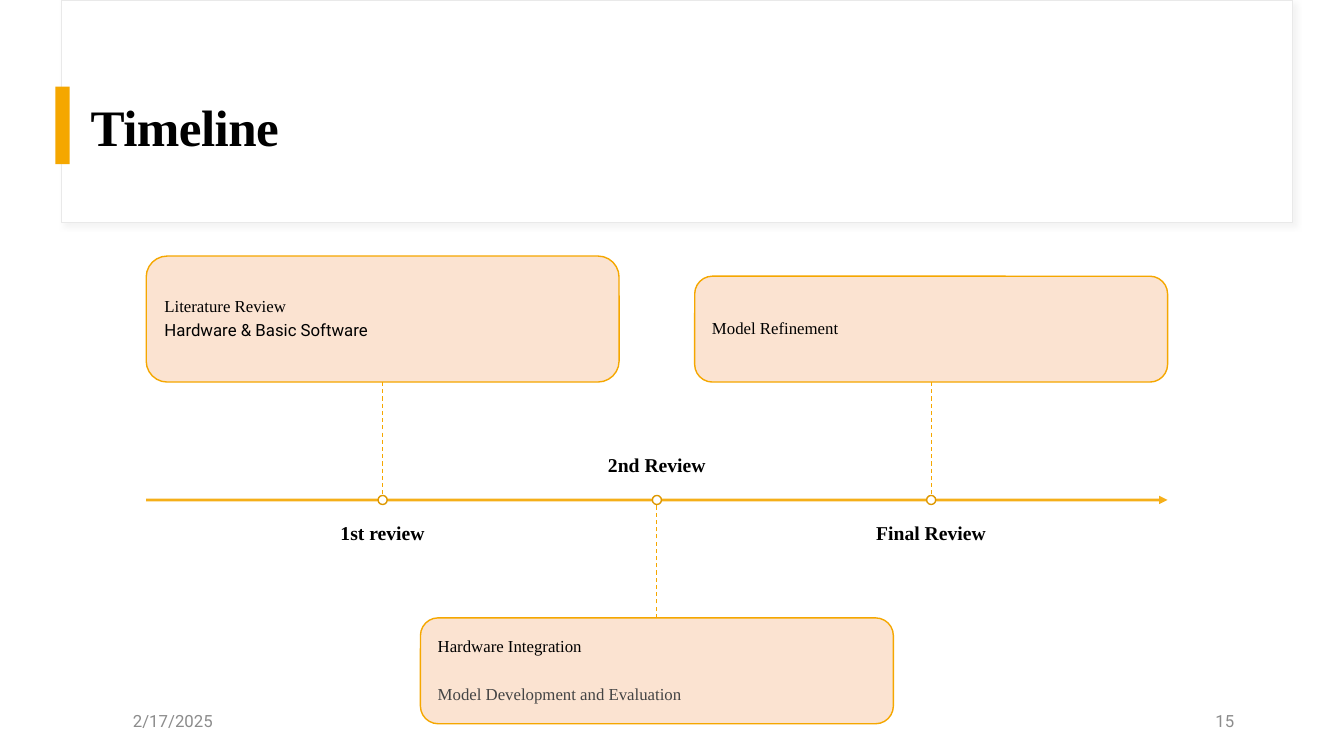
from dataclasses import dataclass

from lxml import etree
from pptx import Presentation
from pptx.dml.color import RGBColor
from pptx.enum.dml import MSO_LINE
from pptx.enum.shapes import MSO_CONNECTOR, MSO_SHAPE
from pptx.enum.text import MSO_ANCHOR, PP_ALIGN
from pptx.oxml.ns import qn
from pptx.util import Inches, Pt

RECT, ROUNDED, OVAL = MSO_SHAPE.RECTANGLE, MSO_SHAPE.ROUNDED_RECTANGLE, MSO_SHAPE.OVAL
STRAIGHT, DASH = MSO_CONNECTOR.STRAIGHT, MSO_LINE.DASH
TOP, MIDDLE, BOTTOM = MSO_ANCHOR.TOP, MSO_ANCHOR.MIDDLE, MSO_ANCHOR.BOTTOM
LEFT, CENTER, RIGHT = PP_ALIGN.LEFT, PP_ALIGN.CENTER, PP_ALIGN.RIGHT


@dataclass(frozen=True)
class Theme:
    """Colours, fonts and type sizes of the slide."""
    white: str = "FFFFFF"
    ink: str = "000000"
    soft_ink: str = "444444"
    footer: str = "8C8C8C"
    accent: str = "F5A700"
    marker: str = "DE9800"
    card: str = "FBE1CC"
    frame: str = "E9E9E9"
    shadow: str = "D9D9D9"
    serif: str = "Times New Roman"
    sans: str = "Roboto"
    title_size: float = 36.5
    label_size: float = 14
    body_size: float = 12


T = Theme()
MILESTONES = [
    ("1st review", True, 1.25, [("Literature Review", T.serif, T.ink, 0),
                                ("Hardware & Basic Software", T.sans, T.ink, 0)]),
    ("2nd Review", False, 1.05, [("Hardware Integration", T.serif, T.ink, 0),
                                 ("Model Development and Evaluation", T.serif, T.soft_ink, 17)]),
    ("Final Review", True, 1.05, [("Model Refinement", T.serif, T.ink, 0)]),
]


def set_alpha(fill_parent, percent):
    """Set the opacity of a solid fill found under an XML element."""
    color = fill_parent.find(".//" + qn("a:srgbClr"))
    etree.SubElement(color, qn("a:alpha"), val=str(percent * 1000))


def add_shadow(sp, color, percent):
    """Give a shape a soft shadow to the lower right."""
    effects = sp._element.spPr.find(qn("a:effectLst"))
    shadow = etree.SubElement(effects, qn("a:outerShdw"), blurRad=str(Pt(4)),
                              dist=str(Pt(3)), dir="2700000", algn="tl", rotWithShape="0")
    etree.SubElement(shadow, qn("a:srgbClr"), val=color)
    set_alpha(shadow, percent)


def add_box(slide, kind, box, fill, line=None, width=1):
    """Add a preset shape with a flat fill and an optional outline."""
    sp = slide.shapes.add_shape(kind, *map(Inches, box))
    sp.shadow.inherit = False
    sp.fill.solid()
    sp.fill.fore_color.rgb = RGBColor.from_string(fill)
    if line:
        sp.line.color.rgb = RGBColor.from_string(line)
        sp.line.width = Pt(width)
    else:
        sp.line.fill.background()
    return sp


def add_line(slide, start, end, width):
    """Add a straight accent line without a shadow."""
    line = slide.shapes.add_connector(STRAIGHT, *map(Inches, (*start, *end)))
    line.line.color.rgb = RGBColor.from_string(T.accent)
    line.line.width = Pt(width)
    etree.SubElement(line._element.spPr, qn("a:effectLst"))
    return line


def set_frame(tf, anchor, inset):
    """Set wrapping, anchor and equal margins of a text frame."""
    tf.word_wrap = True
    tf.vertical_anchor = anchor
    tf.margin_left = tf.margin_right = tf.margin_top = tf.margin_bottom = Inches(inset)


def add_run(p, text, font, size, color, bold=False):
    """Append a formatted run to a paragraph."""
    r = p.add_run()
    r.text = text
    r.font.name = font
    r.font.size = Pt(size)
    r.font.bold = bold
    r.font.color.rgb = RGBColor.from_string(color)
    return r


def add_text(slide, box, text, font, size, color, anchor=TOP, align=LEFT, inset=0, bold=False):
    """Add a text box of one paragraph and return the paragraph and its run."""
    tf = slide.shapes.add_textbox(*map(Inches, box)).text_frame
    set_frame(tf, anchor, inset)
    p = tf.paragraphs[0]
    p.alignment = align
    return p, add_run(p, text, font, size, color, bold)


def add_header(slide, box, title):
    """Draw the framed header with its accent bar and title."""
    x, y, w, h = box
    frame = add_box(slide, RECT, box, T.white, T.frame, 0.75)
    add_shadow(frame, T.shadow, 30)
    add_box(slide, RECT, (x - 0.06, y + 0.86, 0.14, 0.77), T.accent)
    p, r = add_text(slide, (x + 0.29, y + 0.92, w - 0.45, 1.28), title,
                    T.serif, T.title_size, T.ink, bold=True)
    p.line_spacing = Pt(45.8)
    r._r.get_or_add_rPr().set("spc", "-40")


def add_footer(slide, box, date, number):
    """Write the date at the left and the slide number at the right."""
    x, y, w, h = box
    for left, text, align in ((x, date, LEFT), (x + w - 3, number, RIGHT)):
        add_text(slide, (left, y, 3, h), text, T.sans, T.body_size, T.footer, MIDDLE, align, 0.1)


def add_card(slide, box, lines):
    """Draw a rounded card holding one paragraph per line."""
    sp = add_box(slide, ROUNDED, box, T.card, T.accent)
    set_alpha(sp._element.spPr.find(qn("a:solidFill")), 90)
    tf = sp.text_frame
    set_frame(tf, MIDDLE, 0.12)
    for i, (text, font, color, before) in enumerate(lines):
        p = tf.add_paragraph() if i else tf.paragraphs[0]
        p.alignment = LEFT
        p.line_spacing = 0.9
        p.space_before, p.space_after = Pt(before), Pt(4.2)
        add_run(p, text, font, T.body_size, color)
    return sp


def add_milestone(slide, x, axis, card_w, milestone):
    """Draw the card, stem, marker and label of one point on the axis."""
    name, above, card_h, lines = milestone
    stem, gap, label_w, label_h, dot = 1.17, 0.23, 4.13, 0.7, 0.09
    card_y = axis - stem - card_h if above else axis + stem
    label_y = axis + gap if above else axis - gap - label_h
    card = add_card(slide, (x - card_w / 2, card_y, card_w, card_h), lines)
    line = add_line(slide, (x, axis - stem if above else axis + stem), (x, axis), 0.75)
    line.line.dash_style = DASH
    line.begin_connect(card, 2 if above else 0)
    add_box(slide, OVAL, (x - dot / 2, axis - dot / 2, dot, dot), T.white, T.marker)
    p, _ = add_text(slide, (x - label_w / 2, label_y, label_w, label_h), name, T.serif,
                    T.label_size, T.ink, TOP if above else BOTTOM, CENTER, bold=True)
    p.line_spacing = 0.9
    p.space_after = Pt(4.9)


def add_timeline(slide, box, milestones):
    """Draw the arrow axis and its evenly spaced milestones."""
    x, y, w, h = box
    card_w = 4.69
    axis = y + 2.42
    arrow = add_line(slide, (x, axis), (x + w, axis), 2)
    ln = arrow.line._get_or_add_ln()
    set_alpha(ln, 90)
    etree.SubElement(ln, qn("a:tailEnd"), type="triangle")
    step = (w - card_w) / (len(milestones) - 1)
    for i, milestone in enumerate(milestones):
        add_milestone(slide, x + card_w / 2 + i * step, axis, card_w, milestone)


def main():
    """Build and save the timeline slide."""
    prs = Presentation()
    prs.slide_width, prs.slide_height = Inches(13.33), Inches(7.5)
    slide = prs.slides.add_slide(prs.slide_layouts[6])
    add_header(slide, (0.61, 0, 12.21, 2.21), "Timeline")
    add_footer(slide, (1.22, 6.95, 11.12, 0.4), "2/17/2025", "15")
    add_timeline(slide, (1.45, 2.54, 10.13, 4.64), MILESTONES)
    prs.save("out.pptx")


if __name__ == "__main__":
    main()
